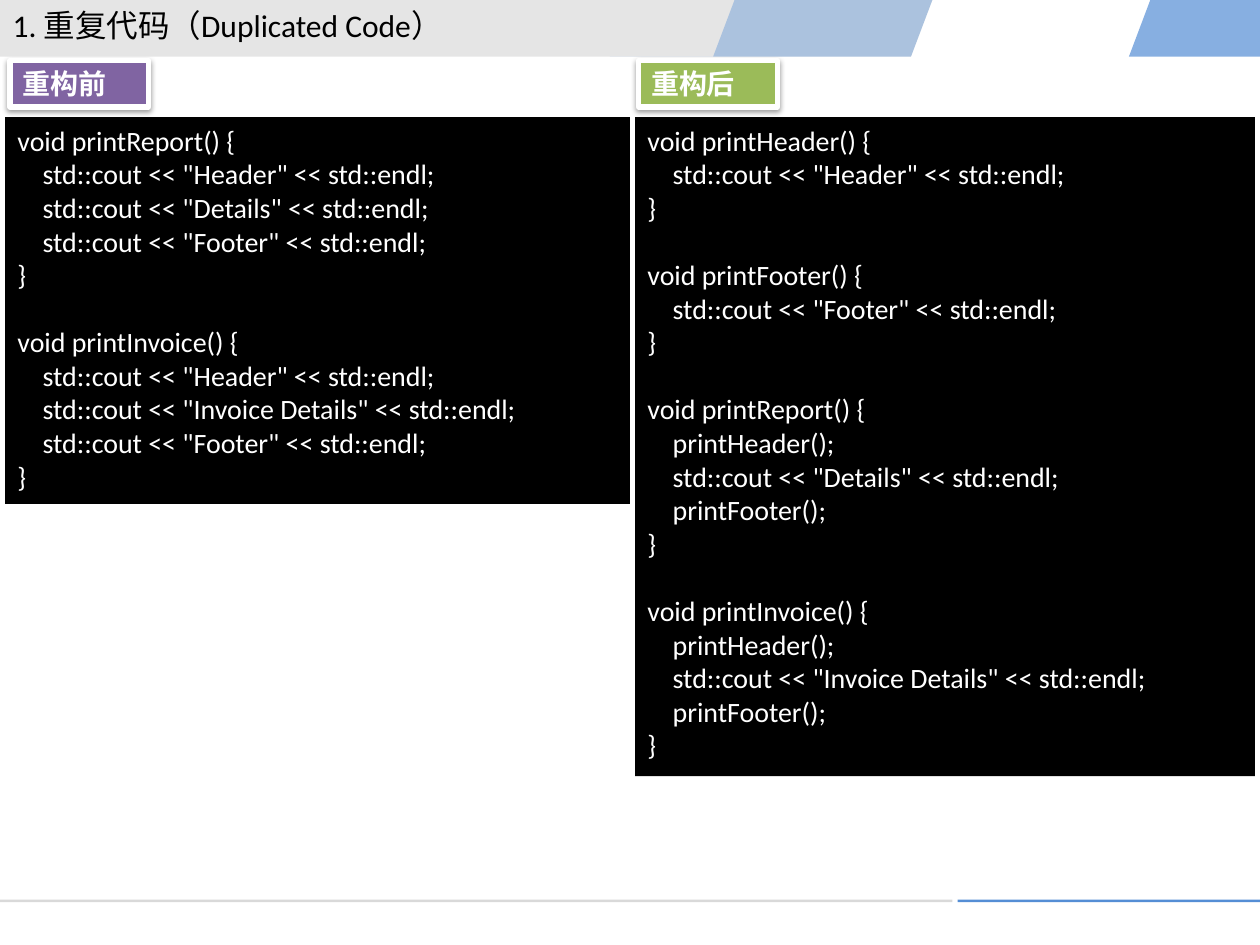
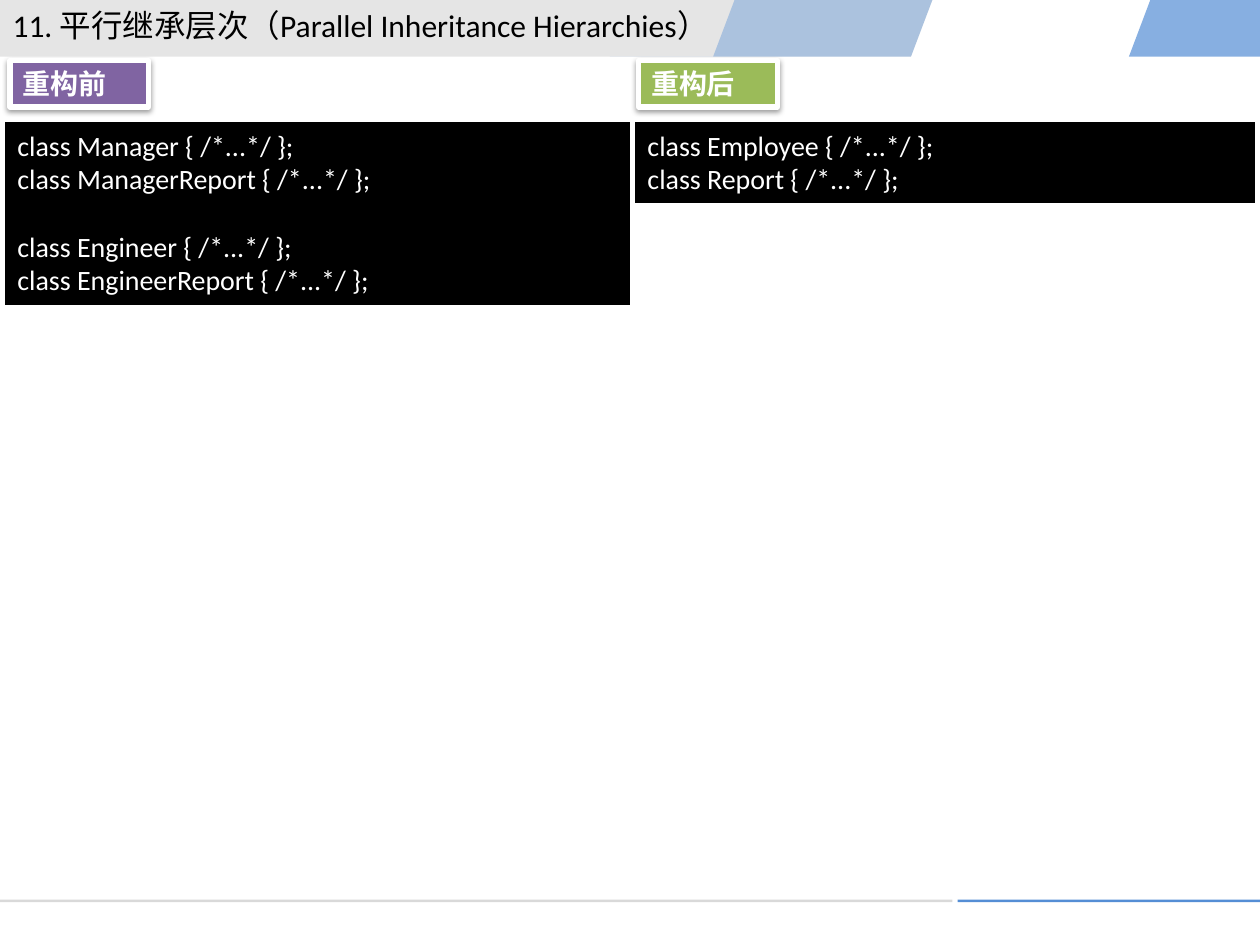
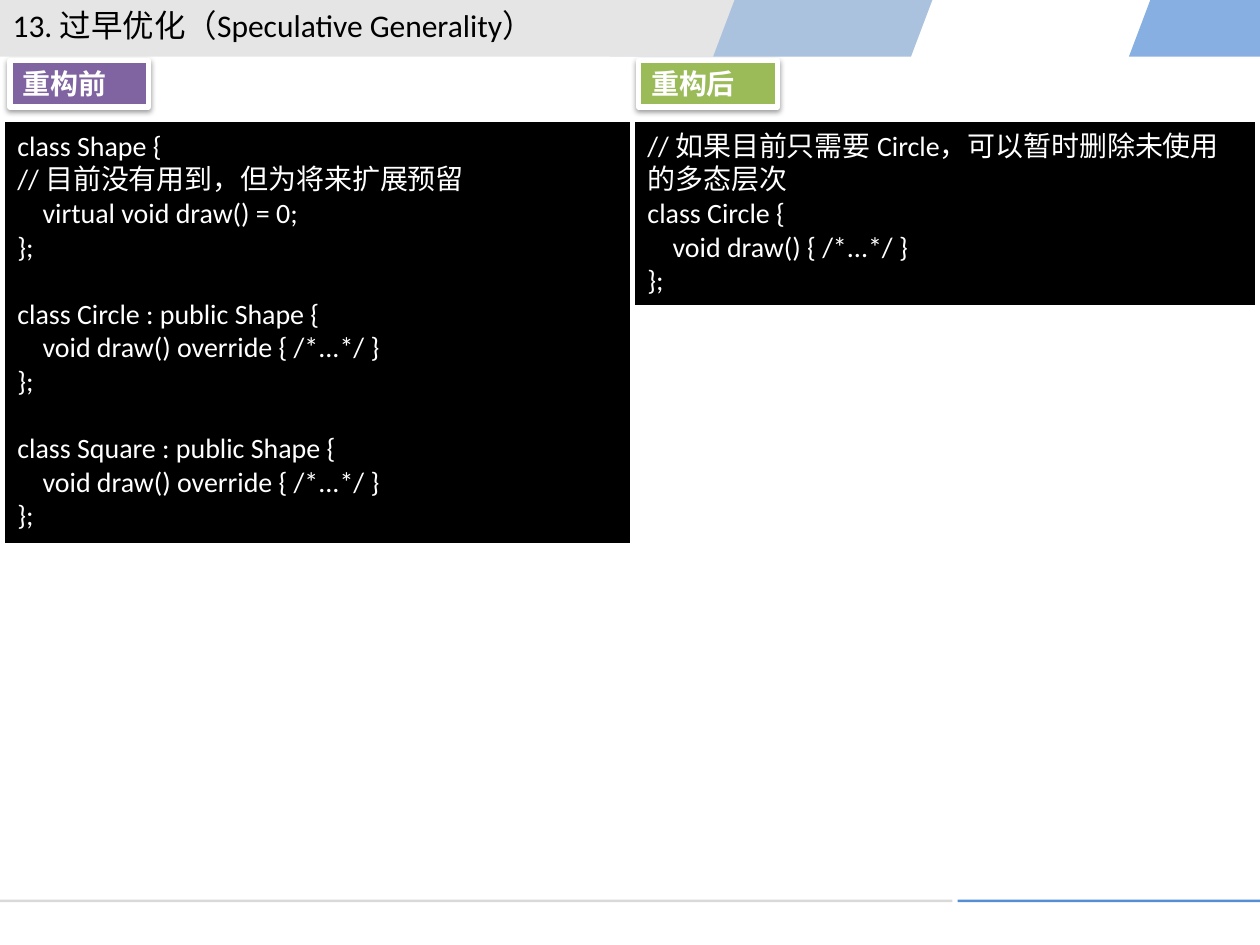
import dataclasses

import lxml.etree
import pptx
import pptx.dml.color
import pptx.enum.shapes
import pptx.enum.text
import pptx.oxml
import pptx.oxml.ns
import pptx.util


@dataclasses.dataclass(frozen=True)
class Theme:
    font: str = "Calibri"
    title_size: int = 18
    text_size: int = 16
    line_pitch: float = 19.2
    ink: str = "000000"
    paper: str = "FFFFFF"
    blue: str = "558ED5"
    band_grey: str = "BFBFBF"
    rule_grey: str = "D9D9D9"
    before: str = "8064A2"
    after: str = "9BBB59"


theme = Theme()
COLUMNS, ROWS = 100, 75
LINE_ROWS, PADDING_ROWS = 2.7, 1
INDENT = pptx.util.Inches(0.2)

deck = pptx.Presentation()
deck.slide_width = pptx.util.Inches(10)
deck.slide_height = pptx.util.Inches(7.5)
column = deck.slide_width / COLUMNS
row = deck.slide_height / ROWS


def add_panel(slide, left, top, width, height, color):
    panel = slide.shapes.add_shape(
        pptx.enum.shapes.MSO_SHAPE.RECTANGLE,
        round(left * column), round(top * row), round(width * column), round(height * row))
    panel.shadow.inherit = False
    panel.fill.solid()
    panel.fill.fore_color.rgb = pptx.dml.color.RGBColor.from_string(color)
    panel.line.fill.background()
    return panel


def write_lines(frame, lines, size, color, bold=False):
    frame_format = {
        "word_wrap": True,
        "vertical_anchor": pptx.enum.text.MSO_ANCHOR.TOP,
        "auto_size": pptx.enum.text.MSO_AUTO_SIZE.SHAPE_TO_FIT_TEXT,
    }
    font_format = {"name": theme.font, "size": pptx.util.Pt(size), "bold": bold}
    for attribute, value in frame_format.items():
        setattr(frame, attribute, value)
    gap = False
    paragraph = frame.paragraphs[0]
    for number, line in enumerate(lines):
        if not line:
            gap = True
            continue
        if number:
            paragraph = frame.add_paragraph()
        paragraph.alignment = pptx.enum.text.PP_ALIGN.LEFT
        if gap:
            paragraph.space_before = pptx.util.Pt(theme.line_pitch)
            gap = False
        if line.startswith(" "):
            paragraph._p.get_or_add_pPr().set("marL", str(INDENT))
        run = paragraph.add_run()
        run.text = line.strip()
        for attribute, value in font_format.items():
            setattr(run.font, attribute, value)
        run.font.color.rgb = pptx.dml.color.RGBColor.from_string(color)


bands = [
    ([(91.3, 0), (100, 0), (100, 4.5), (89.6, 4.5)], theme.blue, 70),
    ([(0, 0), (74, 0), (72.3, 4.5), (0, 4.5)], theme.band_grey, 40),
    ([(58.3, 0), (74, 0), (72.3, 4.5), (48.4, 4.5), (56.6, 4.5)], theme.blue, 40),
]
footer_rules = [(0, 75.6, theme.rule_grey), (76, 24, theme.blue)]
sides = [
    ("重构前", theme.before, 0.8, 0.4, 49.6),
    ("重构后", theme.after, 50.7, 50.4, 49.2),
]

smells = [
    ("1. 重复代码（Duplicated Code）", 38.2, 9.3, [
        (11, '''void printReport() {
    std::cout << "Header" << std::endl;
    std::cout << "Details" << std::endl;
    std::cout << "Footer" << std::endl;
}

void printInvoice() {
    std::cout << "Header" << std::endl;
    std::cout << "Invoice Details" << std::endl;
    std::cout << "Footer" << std::endl;
}'''),
        (19, '''void printHeader() {
    std::cout << "Header" << std::endl;
}

void printFooter() {
    std::cout << "Footer" << std::endl;
}

void printReport() {
    printHeader();
    std::cout << "Details" << std::endl;
    printFooter();
}

void printInvoice() {
    printHeader();
    std::cout << "Invoice Details" << std::endl;
    printFooter();
}'''),
    ]),
    ("11. 平行继承层次（Parallel Inheritance Hierarchies）", 65.7, 9.7, [
        (5, '''class Manager { /*...*/ };
class ManagerReport { /*...*/ };

class Engineer { /*...*/ };
class EngineerReport { /*...*/ };'''),
        (2, '''class Employee { /*...*/ };
class Report { /*...*/ };'''),
    ]),
    ("13. 过早优化（Speculative Generality）", 57.9, 9.7, [
        (12, '''class Shape {
// 目前没有用到，但为将来扩展预留
    virtual void draw() = 0;
};

class Circle : public Shape {
    void draw() override { /*...*/ }
};

class Square : public Shape {
    void draw() override { /*...*/ }
};'''),
        (5, '''// 如果目前只需要 Circle，可以暂时删除未使用的多态层次
class Circle {
    void draw() { /*...*/ }
};'''),
    ]),
]

layout = deck.slide_layouts[5]
for placeholder in list(layout.placeholders):
    if placeholder.placeholder_format.idx:
        layout.shapes.element.remove(placeholder.element)

slides = [deck.slides.add_slide(layout) for smell in smells]

decorations = []
for points, color, opacity in bands:
    corners = [(round(x * column), round(y * row)) for x, y in points]
    outline = slides[0].shapes.build_freeform(*corners[0])
    outline.add_line_segments(corners[1:], close=True)
    band = outline.convert_to_shape()
    band.shadow.inherit = False
    band.fill.solid()
    band.fill.fore_color.rgb = pptx.dml.color.RGBColor.from_string(color)
    band.line.fill.background()
    tint = band.element.spPr.find(".//" + pptx.oxml.ns.qn("a:srgbClr"))
    lxml.etree.SubElement(tint, pptx.oxml.ns.qn("a:alpha"), val=str(opacity * 1000))
    decorations.append(band)
for left, width, color in footer_rules:
    decorations.append(add_panel(slides[0], left, 71.4, width, 0.2, color))
for decoration in decorations:
    layout.shapes.element.append(decoration.element)

for slide, (heading, heading_width, code_top, listings) in zip(slides, smells):
    title = slide.shapes.title
    title_box = {"left": 0, "top": 0, "width": round(heading_width * column), "height": round(4 * row)}
    for attribute, value in title_box.items():
        setattr(title, attribute, value)
    write_lines(title.text_frame, [heading], theme.title_size, theme.ink)

    for (label, color, label_left, code_left, code_width), (line_count, code) in zip(sides, listings):
        tag = add_panel(slide, label_left, 4.8, 11, 3.7, color)
        tag.line.color.rgb = pptx.dml.color.RGBColor.from_string(theme.paper)
        tag.line.width = pptx.util.Pt(3)
        effects = tag.element.spPr.find(pptx.oxml.ns.qn("a:effectLst"))
        shadow = lxml.etree.SubElement(
            effects, pptx.oxml.ns.qn("a:outerShdw"),
            blurRad="40000", dist="20000", dir="5400000", rotWithShape="0")
        shade = lxml.etree.SubElement(shadow, pptx.oxml.ns.qn("a:srgbClr"), val=theme.ink)
        lxml.etree.SubElement(shade, pptx.oxml.ns.qn("a:alpha"), val="38000")
        write_lines(tag.text_frame, [label], theme.text_size, theme.paper, bold=True)

        code_height = PADDING_ROWS + LINE_ROWS * line_count
        code_panel = add_panel(slide, code_left, code_top, code_width, code_height, theme.ink)
        write_lines(code_panel.text_frame, code.splitlines(), theme.text_size, theme.paper)

deck.save("out.pptx")
